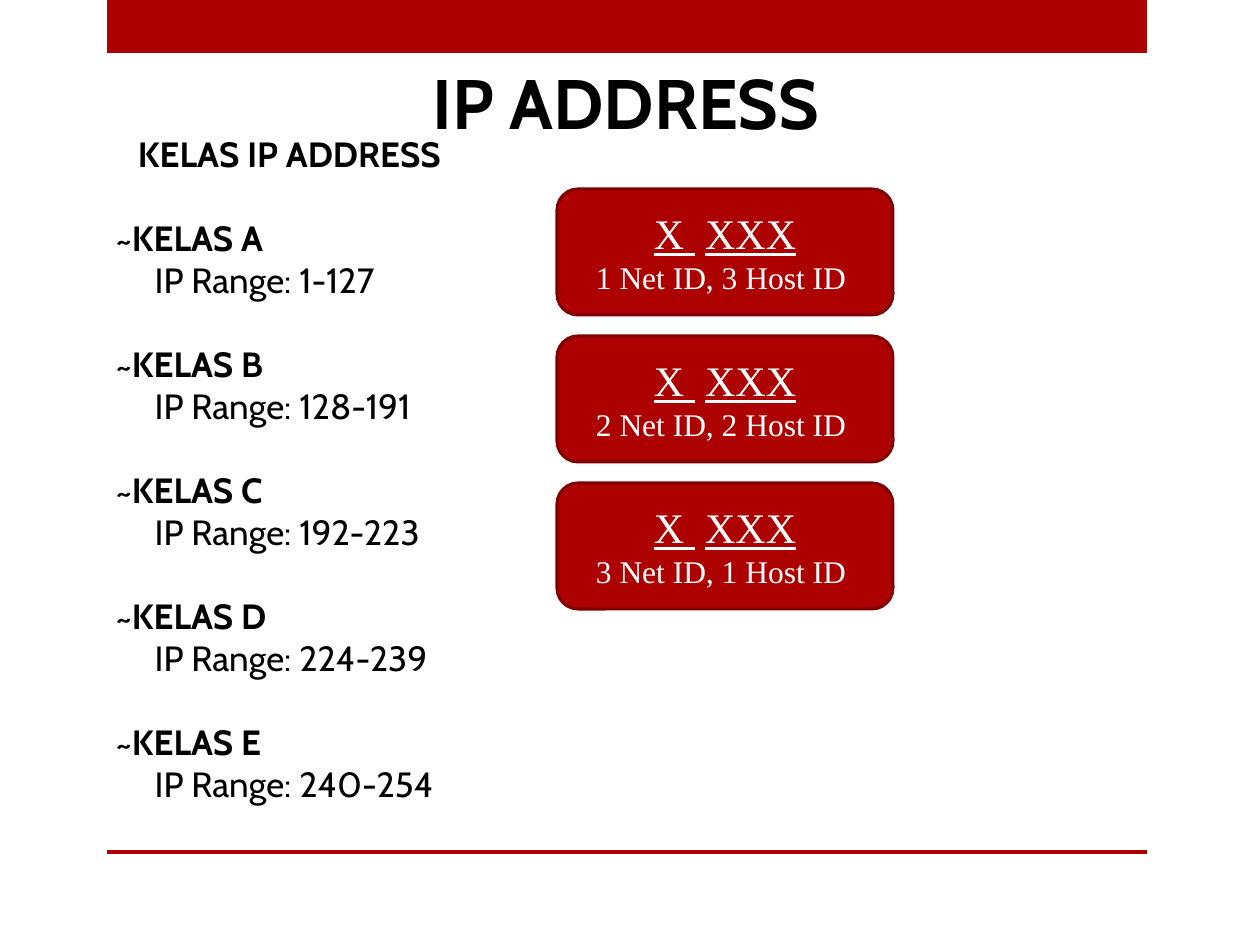
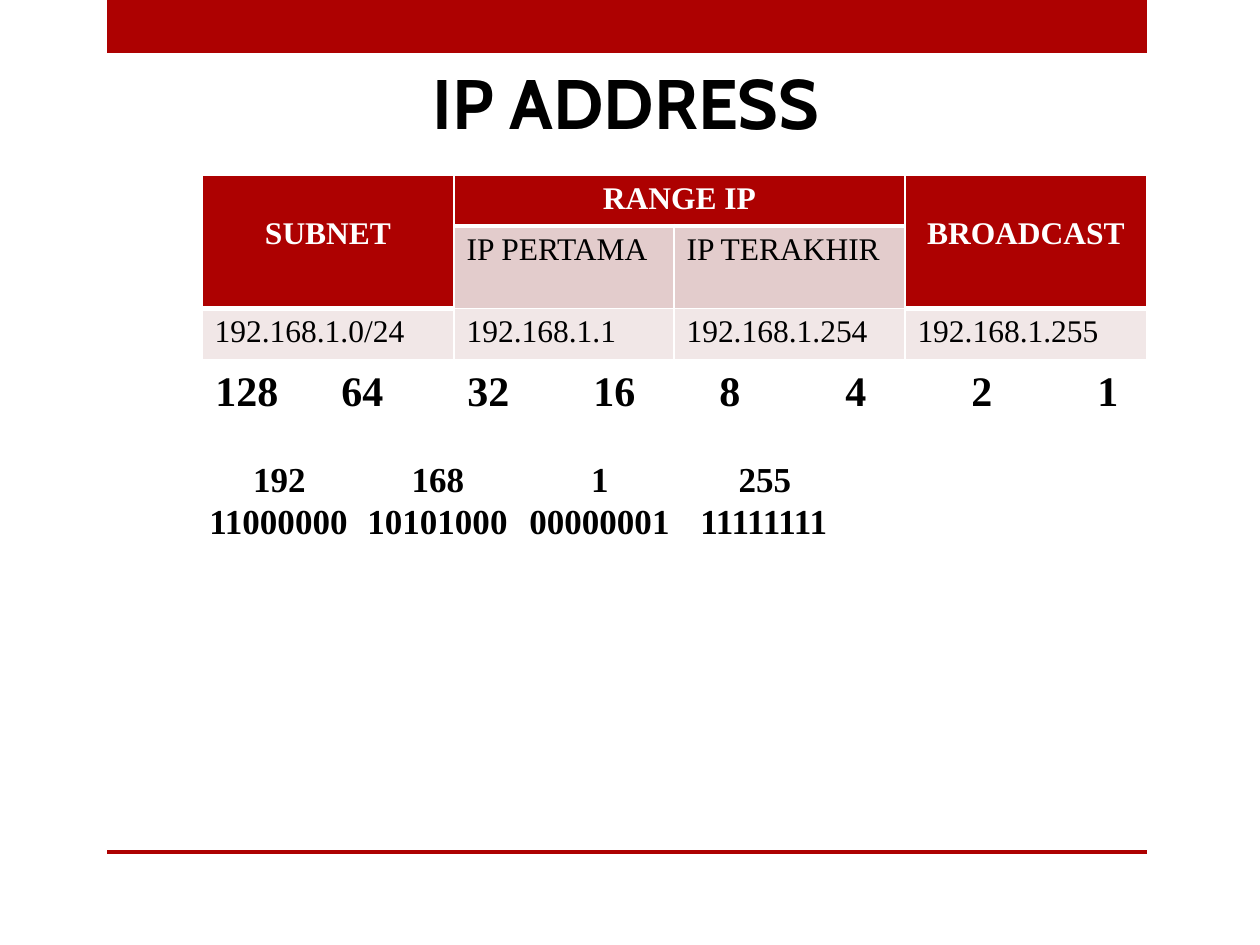
from lxml import etree
from pptx import Presentation
from pptx.dml.color import RGBColor
from pptx.enum.shapes import MSO_SHAPE
from pptx.enum.text import MSO_ANCHOR, MSO_AUTO_SIZE, PP_ALIGN
from pptx.oxml.ns import qn
from pptx.util import Pt

RECT, ROUND = MSO_SHAPE.RECTANGLE, MSO_SHAPE.ROUNDED_RECTANGLE
TOP, MIDDLE = MSO_ANCHOR.TOP, MSO_ANCHOR.MIDDLE
LEFT, CENTER = PP_ALIGN.LEFT, PP_ALIGN.CENTER
FIXED = MSO_AUTO_SIZE.NONE

RED = RGBColor(0xAD, 0x01, 0x01)
DARK = RGBColor(0x80, 0x01, 0x01)
ROSE = RGBColor(0xE3, 0xCC, 0xCC)
PALE = RGBColor(0xF1, 0xE7, 0xE7)
WHITE = RGBColor(0xFF, 0xFF, 0xFF)
BLACK = RGBColor(0x00, 0x00, 0x00)

SANS, SERIF = "Cabin", "Times New Roman"
TITLE_ONLY, TITLE_BODY = 5, 1
SCALE = 914400 / 126


def px(*sizes):
    return [round(size * SCALE) for size in sizes]


class Deck:
    def __init__(self):
        self.prs = Presentation()
        self.prs.slide_width, self.prs.slide_height = px(1260, 945)
        self.slide = None

    def start(self, layout, title):
        """Add a slide with the shared bands and title."""
        self.slide = self.prs.slides.add_slide(self.prs.slide_layouts[layout])
        self.box(RECT, 107, 0, 1040, 53)
        self.box(RECT, 107, 850, 1040, 4)
        head = self.slide.shapes.title
        self.place(head, 399, 53, 454, 97)
        head.text_frame.vertical_anchor = MIDDLE
        head.text_frame.text = title
        self.style(head.text_frame.paragraphs[0], SANS, 40, BLACK, True, CENTER)

    def place(self, shape, x, y, w, h):
        shape.left, shape.top, shape.width, shape.height = px(x, y, w, h)
        shape.text_frame.auto_size = FIXED

    def style(self, para, face, size, color, bold=False, align=LEFT):
        para.alignment = align
        font = para.font
        font.name, font.size, font.bold = face, Pt(size), bold
        font.color.rgb = color

    def box(self, kind, x, y, w, h, edge=None):
        shape = self.slide.shapes.add_shape(kind, *px(x, y, w, h))
        shape.shadow.inherit = False
        shape.fill.solid()
        shape.fill.fore_color.rgb = RED
        if edge:
            shape.line.color.rgb = edge
            shape.line.width = Pt(1.75)
        else:
            shape.line.fill.background()
        return shape

    def card(self, x, y, note):
        frame = self.box(ROUND, x, y, 336, 126, DARK).text_frame
        frame.word_wrap = True
        frame.vertical_anchor = MIDDLE
        mask = frame.paragraphs[0]
        for part, under in (("X ", True), (" ", False), ("XXX", True)):
            run = mask.add_run()
            run.text = part
            run.font.underline = under
        self.style(mask, SERIF, 24, WHITE, align=CENTER)
        line = frame.add_paragraph()
        line.text = note
        self.style(line, SERIF, 18, WHITE, align=CENTER)

    def classes(self, head, items):
        """Fill the body with a heading and named ranges."""
        body = self.slide.placeholders[1]
        self.place(body, 103, 126, 373, 776)
        frame = body.text_frame
        frame.vertical_anchor = TOP
        lines = [(head, True, CENTER, 0, 0)]
        for name, span in items:
            lines.append((f"~KELAS {name}", True, LEFT, 24, 0))
            lines.append((f"IP Range: {span}", False, LEFT, 0, 39))
        for i, (text, bold, align, gap, inset) in enumerate(lines):
            para = frame.add_paragraph() if i else frame.paragraphs[0]
            para.text = text
            self.style(para, SANS, 20, BLACK, bold, align)
            para.space_before = Pt(gap)
            props = para._p.get_or_add_pPr()
            props.set("marL", str(px(inset)[0]))
            props.set("indent", "0")
            props.insert_element_before(
                etree.Element(qn("a:buNone")), "a:tabLst", "a:defRPr", "a:extLst")

    def label(self, x, y, w, h, lines, size):
        """Add bold text from (text, alignment) pairs."""
        frame = self.slide.shapes.add_textbox(*px(x, y, w, h)).text_frame
        frame.word_wrap = False
        for i, (text, align) in enumerate(lines):
            para = frame.add_paragraph() if i else frame.paragraphs[0]
            para.text = text
            self.style(para, SERIF, size, BLACK, True, align)
        return frame

    def tabs(self, para, step, count):
        stops = etree.Element(qn("a:tabLst"))
        for i in range(1, count + 1):
            etree.SubElement(stops, qn("a:tab"), pos=str(px(i * step)[0]), algn="l")
        para._p.get_or_add_pPr().insert_element_before(stops, "a:defRPr", "a:extLst")

    def edges(self, cell):
        """Draw white header borders, thick at the bottom."""
        props = cell._tc.get_or_add_tcPr()
        for side, width in (("L", 1), ("R", 1), ("T", 1), ("B", 3)):
            line = etree.SubElement(props, qn(f"a:ln{side}"), w=str(Pt(width)))
            fill = etree.SubElement(line, qn("a:solidFill"))
            etree.SubElement(fill, qn("a:srgbClr"), val=str(WHITE))

    def table(self, x, y, widths, high, rows, merges):
        grid = self.slide.shapes.add_table(
            len(rows), len(widths), *px(x, y, sum(widths), high * len(rows))).table
        for col, width in zip(grid.columns, widths):
            col.width = px(width)[0]
        for row in grid.rows:
            row.height = px(high)[0]
        for first, last in merges:
            grid.cell(*first).merge(grid.cell(*last))
        tall = {first for first, last in merges if last[0] > first[0]}
        for r, row in enumerate(rows):
            for c, text in enumerate(row):
                cell = grid.cell(r, c)
                top = r == 0 or cell.is_spanned
                if top:
                    self.edges(cell)
                cell.fill.solid()
                cell.fill.fore_color.rgb = RED if top else (ROSE, PALE)[r - 1]
                if text:
                    para = cell.text_frame.paragraphs[0]
                    para.text = text
                    self.style(para, SERIF, 18, WHITE if top else BLACK,
                               top, CENTER if top else LEFT)
                    if (r, c) in tall:
                        para.line_spacing = 2.0


def main():
    deck = Deck()

    # Address classes
    deck.start(TITLE_BODY, "IP ADDRESS")
    deck.classes("KELAS IP ADDRESS", [
        ("A", "1-127"), ("B", "128-191"), ("C", "192-223"),
        ("D", "224-239"), ("E", "240-254")])
    for i in range(3):
        deck.card(557, 189 + 147 * i, f"{i + 1} Net ID, {3 - i} Host ID ")

    # Subnet table
    deck.start(TITLE_ONLY, "IP ADDRESS")
    deck.table(202, 175, (252, 220, 231, 242), 51, [
        ("SUBNET", "RANGE IP", "", "BROADCAST"),
        ("", "IP PERTAMA", "IP TERAKHIR", ""),
        ("192.168.1.0/24", "192.168.1.1", "192.168.1.254", "192.168.1.255"),
    ], [((0, 0), (1, 0)), ((0, 1), (0, 2)), ((0, 3), (1, 3))])

    # Bit weights
    bits = [str(2 ** n) for n in range(7, -1, -1)]
    frame = deck.label(203, 358, 937, 165, [("\t".join(bits), LEFT)], 24)
    deck.tabs(frame.paragraphs[0], 126, len(bits) - 1)

    # Octets in binary
    for x, w, octet in ((197, 165, 192), (355, 166, 168),
                        (517, 166, 1), (688, 154, 255)):
        deck.label(x, 451, w, 97, [(str(octet), CENTER), (f"{octet:08b}", LEFT)], 20)

    deck.prs.save("out.pptx")


if __name__ == "__main__":
    main()
